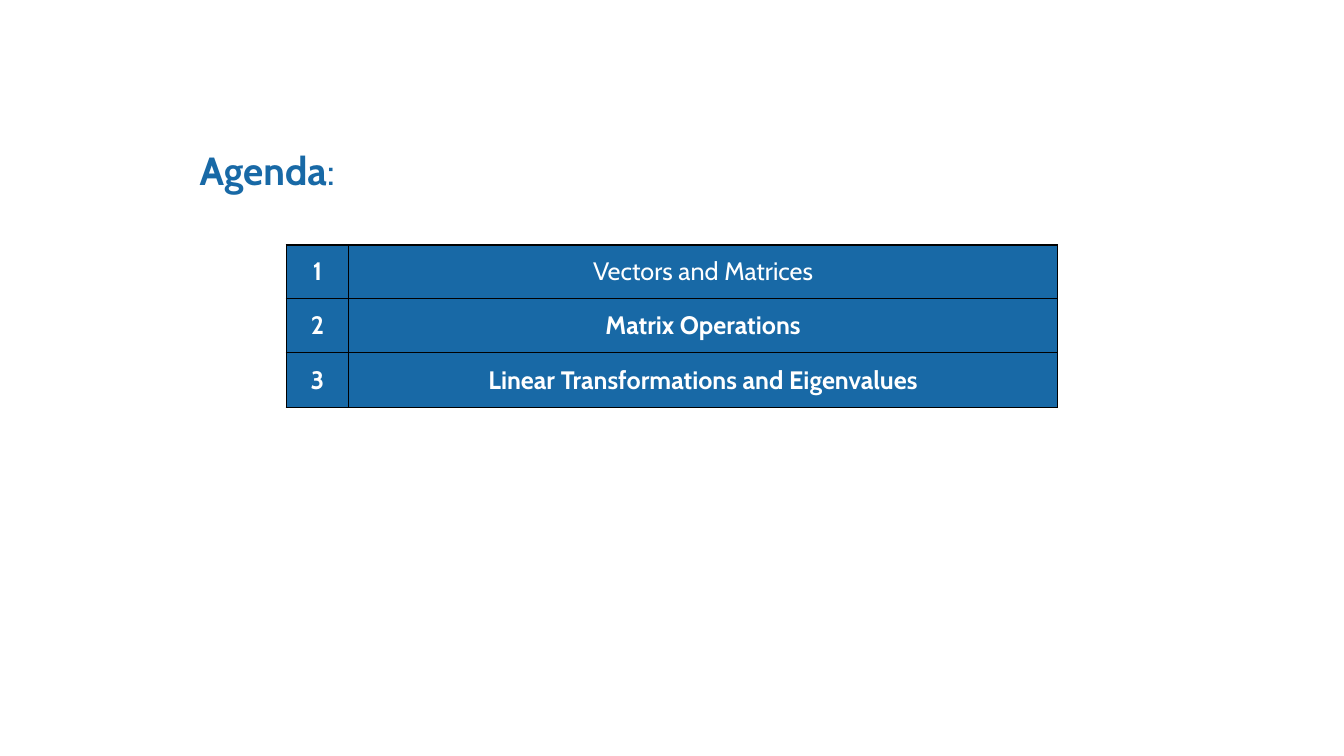
from lxml import etree
from pptx import Presentation
from pptx.dml.color import RGBColor
from pptx.enum.text import MSO_ANCHOR, MSO_AUTO_SIZE, PP_ALIGN
from pptx.oxml.ns import qn
from pptx.util import Pt

LEFT, CENTER = PP_ALIGN.LEFT, PP_ALIGN.CENTER
TOP, MIDDLE = MSO_ANCHOR.TOP, MSO_ANCHOR.MIDDLE
NO_FIT = MSO_AUTO_SIZE.NONE
COLORS = {"blue": "1869A6", "white": "FFFFFF", "black": "000000"}
TOPICS = [
    ("Vectors and Matrices", False),
    ("Matrix Operations", True),
    ("Linear Transformations and Eigenvalues", True),
]
COLS = (44.64, 506.16)
ROWS = (38.16, 38.88, 38.88)


def add_run(para, text, size, color, bold):
    """Add a formatted run to a paragraph."""
    run = para.add_run()
    run.text = text
    form = {"name": "Cabin", "size": Pt(size), "bold": bold}
    for key, value in form.items():
        setattr(run.font, key, value)
    run.font.color.rgb = RGBColor.from_string(COLORS[color])


def add_edges(cell):
    """Draw a thin black line on each side of a cell."""
    props = cell._tc.get_or_add_tcPr()
    for spot, side in enumerate(("lnL", "lnR", "lnT", "lnB")):
        line = etree.Element(qn(f"a:{side}"), w=str(Pt(1)))
        fill = etree.SubElement(line, qn("a:solidFill"))
        etree.SubElement(fill, qn("a:srgbClr"), val=COLORS["black"])
        props.insert(spot, line)


def add_title(slide, left, top, width, height):
    """Place the heading in the title placeholder."""
    title = slide.shapes.title
    box = {"left": left, "top": top, "width": width, "height": height}
    for key, value in box.items():
        setattr(title, key, Pt(value))
    frame = title.text_frame
    form = {"word_wrap": True, "auto_size": NO_FIT, "vertical_anchor": TOP}
    for key, value in form.items():
        setattr(frame, key, value)
    para = frame.paragraphs[0]
    para.alignment = LEFT
    add_run(para, "Agenda", 28, "blue", True)
    add_run(para, ":", 28, "blue", False)


def add_topics(slide, left, top):
    """Place the numbered table of topics."""
    table = slide.shapes.add_table(
        len(ROWS), len(COLS), Pt(left), Pt(top), Pt(sum(COLS)), Pt(sum(ROWS))
    ).table
    for col, width in zip(table.columns, COLS):
        col.width = Pt(width)
    for row, height in zip(table.rows, ROWS):
        row.height = Pt(height)
    for num, (topic, bold) in enumerate(TOPICS):
        texts = ((str(num + 1), True), (topic, bold))
        for col, (text, heavy) in enumerate(texts):
            cell = table.cell(num, col)
            cell.vertical_anchor = MIDDLE
            cell.fill.solid()
            cell.fill.fore_color.rgb = RGBColor.from_string(COLORS["blue"])
            add_edges(cell)
            para = cell.text_frame.paragraphs[0]
            para.alignment = CENTER
            add_run(para, text, 18, "white", heavy)


def main():
    """Build and save the agenda slide."""
    deck = Presentation()
    deck.slide_width, deck.slide_height = Pt(960), Pt(540)
    slide = deck.slides.add_slide(deck.slide_layouts[5])
    add_title(slide, 135.4, 100.8, 137.5, 41)
    add_topics(slide, 204.5, 175)
    deck.save("out.pptx")


if __name__ == "__main__":
    main()
